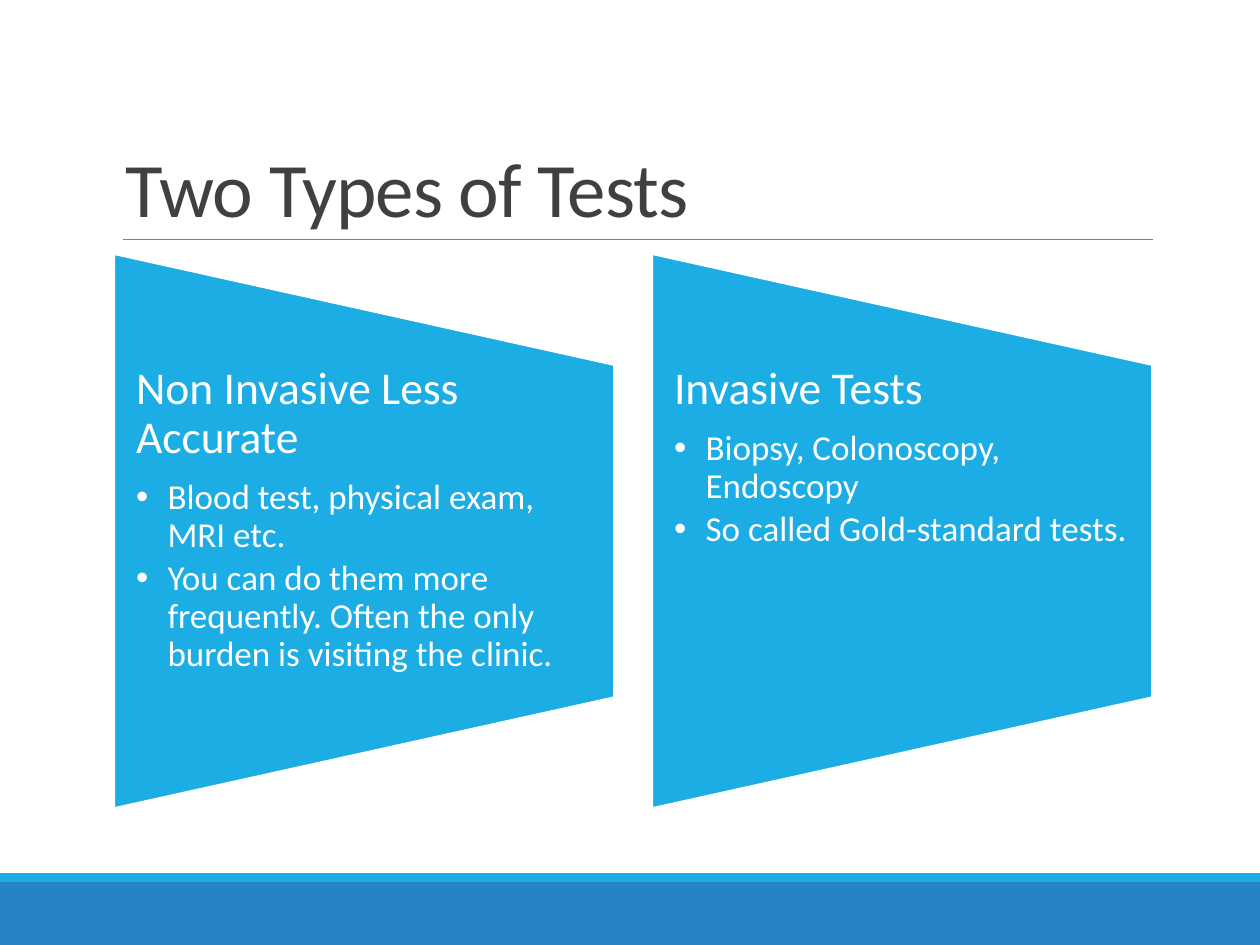
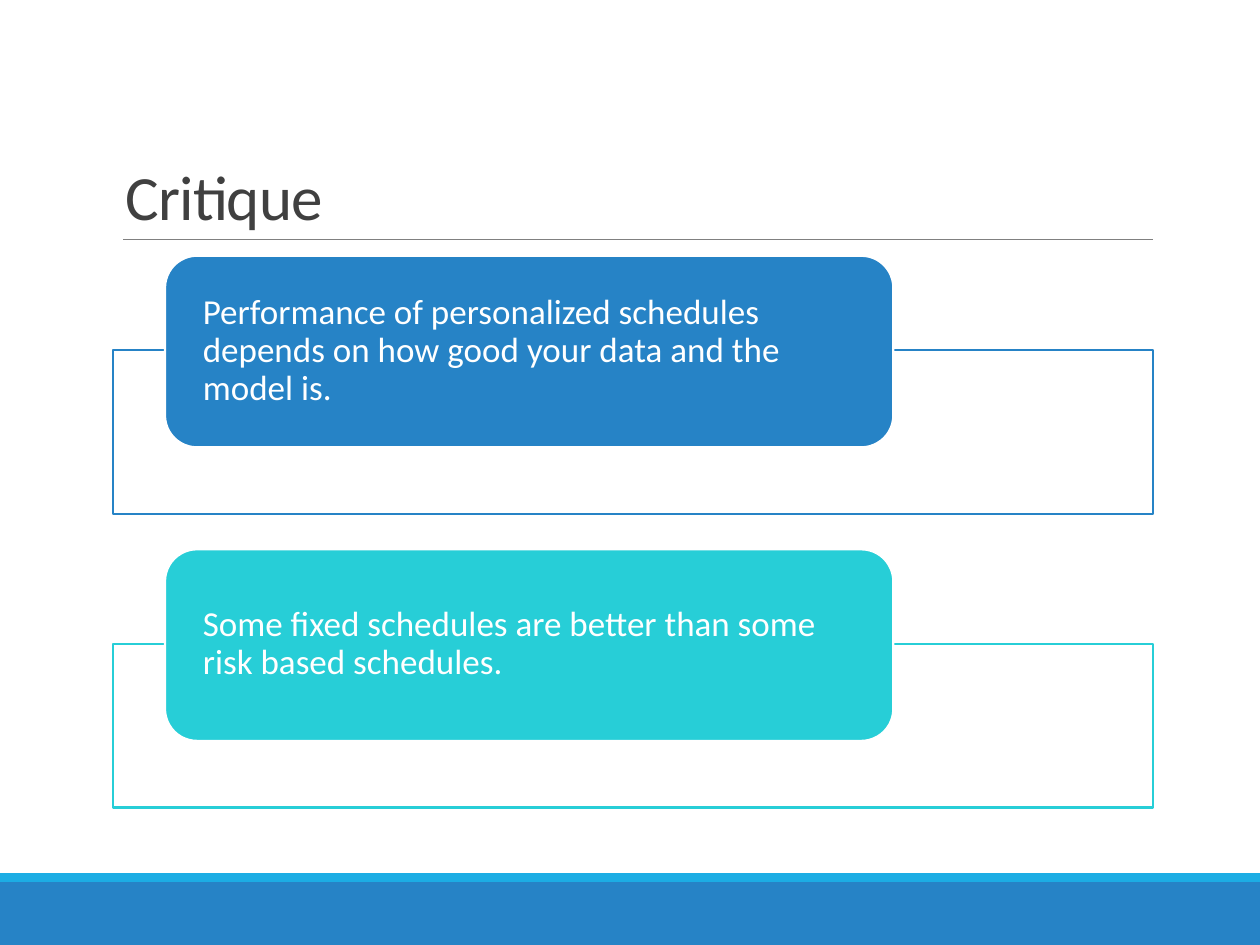
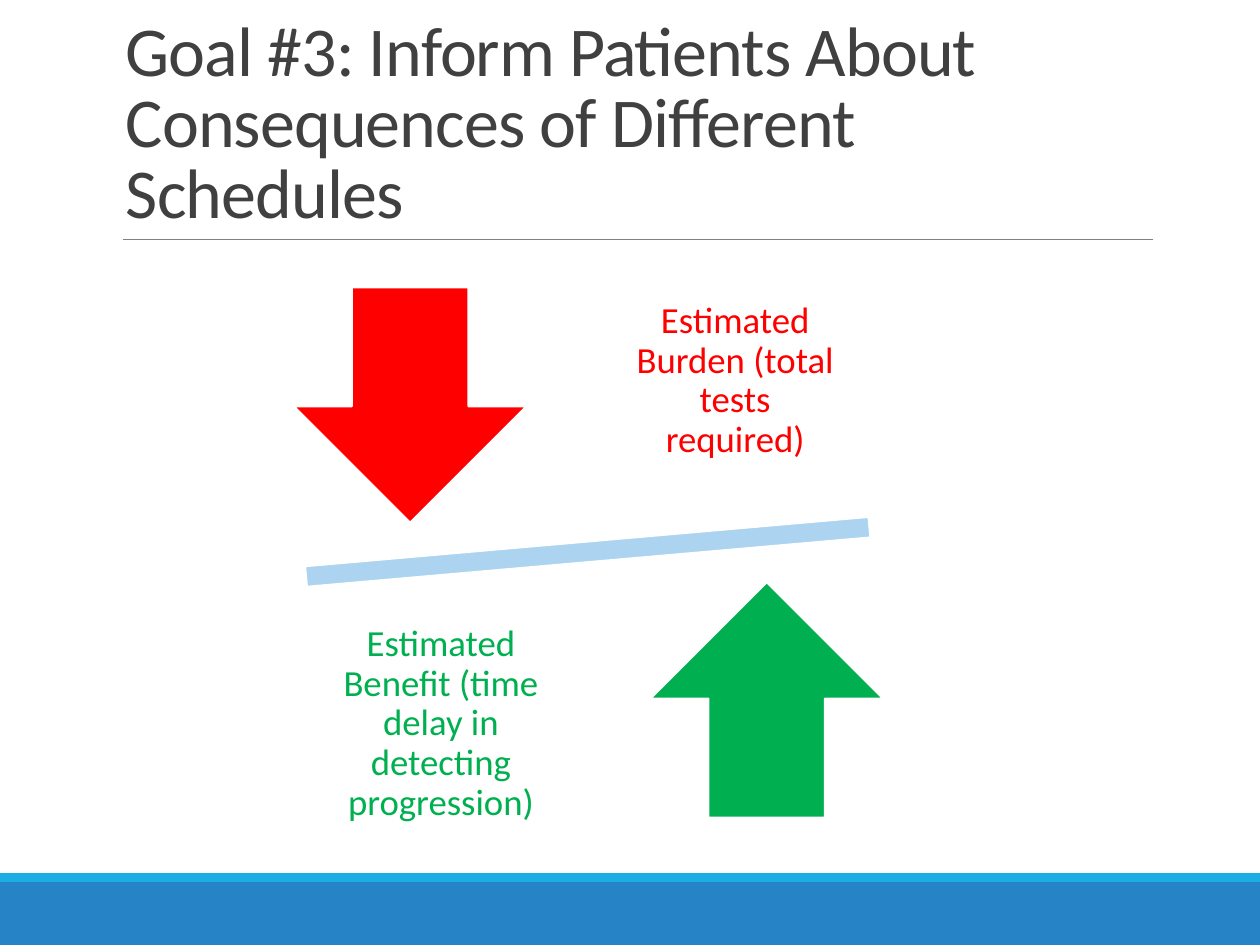
from dataclasses import dataclass

from lxml import etree
from pptx import Presentation
from pptx.dml.color import RGBColor
from pptx.enum.shapes import MSO_CONNECTOR, MSO_SHAPE
from pptx.enum.text import MSO_ANCHOR, PP_ALIGN
from pptx.oxml.ns import qn
from pptx.util import Inches, Pt

RECTANGLE = MSO_SHAPE.RECTANGLE
ROUNDED = MSO_SHAPE.ROUNDED_RECTANGLE
TRAPEZOID = MSO_SHAPE.FLOWCHART_MANUAL_OPERATION
MINUS = MSO_SHAPE.MATH_MINUS
DOWN_ARROW = MSO_SHAPE.DOWN_ARROW
UP_ARROW = MSO_SHAPE.UP_ARROW
STRAIGHT = MSO_CONNECTOR.STRAIGHT
TOP, MIDDLE, BOTTOM = MSO_ANCHOR.TOP, MSO_ANCHOR.MIDDLE, MSO_ANCHOR.BOTTOM
LEFT, CENTER = PP_ALIGN.LEFT, PP_ALIGN.CENTER


@dataclass(frozen=True)
class Theme:
    font: str = "Calibri"
    title: str = "404040"
    rule: str = "808080"
    blue: str = "2683C6"
    sky: str = "1CADE4"
    turquoise: str = "27CED7"
    pale_blue: str = "ACD3EF"
    red: str = "FF0000"
    green: str = "00B050"
    white: str = "FFFFFF"
    heading_size: int = 26
    body_size: int = 20
    label_size: int = 21
    outline: float = 1.25
    hairline: float = 0.5


THEME = Theme()


def rgb(value):
    return RGBColor.from_string(value)


def add_block(slide, preset, box, fill, outline=None, rotation=0):
    block = slide.shapes.add_shape(preset, *map(Inches, box))
    block.shadow.inherit = False
    block.rotation = rotation
    block.fill.solid()
    block.fill.fore_color.rgb = rgb(fill)
    if outline:
        block.line.color.rgb = rgb(outline)
        block.line.width = Pt(THEME.outline)
    else:
        block.line.fill.background()
    return block


def set_opacity(block, percent):
    color = block.fill._xPr.find(qn("a:solidFill"))[0]
    etree.SubElement(color, qn("a:alpha")).set("val", str(percent * 1000))


def add_text_area(slide, box, anchor, side_inset, top_inset, bottom_inset):
    frame = slide.shapes.add_textbox(*map(Inches, box)).text_frame
    frame.word_wrap = True
    frame.vertical_anchor = anchor
    frame.margin_left = frame.margin_right = Inches(side_inset)
    frame.margin_top = Inches(top_inset)
    frame.margin_bottom = Inches(bottom_inset)
    return frame


def write(paragraph, text, size, color, spacing=0.9, after=0.35, align=LEFT):
    paragraph.alignment = align
    paragraph.line_spacing = spacing
    paragraph.space_after = Pt(size * after)
    run = paragraph.add_run()
    run.text = text
    run.font.name = THEME.font
    run.font.size = Pt(size)
    run.font.color.rgb = rgb(color)
    return run


def write_bullet(paragraph, text):
    paragraph.level = 1
    write(paragraph, text, THEME.body_size, THEME.white, after=0.15)
    properties = paragraph._p.get_or_add_pPr()
    properties.set("marL", str(Inches(0.25)))
    properties.set("indent", str(Inches(-0.25)))
    etree.SubElement(properties, qn("a:buFont")).set("typeface", "Arial")
    etree.SubElement(properties, qn("a:buChar")).set("char", "•")


def add_titled_slide(deck, title, size):
    slide = deck.slides.add_slide(deck.slide_layouts[6])
    add_block(slide, RECTANGLE, (0, 7, 10, 0.5), THEME.blue)
    add_block(slide, RECTANGLE, (0, 6.93, 10, 0.07), THEME.sky)
    rule = slide.shapes.add_connector(
        STRAIGHT, Inches(0.98), Inches(1.9), Inches(9.15), Inches(1.9))
    rule.line.color.rgb = rgb(THEME.rule)
    rule.line.width = Pt(THEME.hairline)
    etree.SubElement(rule._element.spPr, qn("a:effectLst"))
    frame = add_text_area(slide, (0.9, 0.31, 8.25, 1.59), BOTTOM, 0.1, 0.05, 0.05)
    run = write(frame.paragraphs[0], title, size, THEME.title, spacing=0.85, after=0)
    run.font._element.set("spc", "-50")
    return slide


def add_test_column(slide, left, heading, points):
    add_block(slide, TRAPEZOID, (left - 0.21, 2.23, 4.4, 3.97),
              THEME.sky, THEME.white, rotation=270)
    frame = add_text_area(slide, (left, 2.9, 3.97, 2.64), TOP, 0.18, 0, 0)
    write(frame.paragraphs[0], heading, THEME.heading_size, THEME.white)
    for point in points:
        write_bullet(frame.add_paragraph(), point)


def add_critique(slide, top, color, text):
    backdrop = add_block(slide, RECTANGLE, (0.9, top + 0.75, 8.25, 1.3),
                         THEME.white, color)
    set_opacity(backdrop, 90)
    add_block(slide, ROUNDED, (1.31, top, 5.78, 1.52), color, THEME.white)
    frame = add_text_area(slide, (1.39, top + 0.07, 5.63, 1.37), MIDDLE, 0.22, 0, 0)
    write(frame.paragraphs[0], text, THEME.body_size, THEME.white)


def add_weighed_side(slide, arrow, arrow_at, label_box, color, label):
    add_block(slide, arrow, (*arrow_at, 1.85, 1.87), color, THEME.white)
    frame = add_text_area(slide, label_box, MIDDLE, 0.16, 0.16, 0.16)
    write(frame.paragraphs[0], label, THEME.label_size, color, align=CENTER)


def build_test_types(deck):
    slide = add_titled_slide(deck, "Two Types of Tests", 44)
    columns = [
        ("Non Invasive Less Accurate", [
            "Blood test, physical exam, MRI etc.",
            "You can do them more frequently. Often the only burden is "
            "visiting the clinic."]),
        ("Invasive Tests", [
            "Biopsy, Colonoscopy, Endoscopy",
            "So called Gold-standard tests."]),
    ]
    for index, (heading, points) in enumerate(columns):
        add_test_column(slide, 0.9 + index * 4.27, heading, points)


def build_critique(deck):
    slide = add_titled_slide(deck, "Critique", 36)
    critiques = [
        (THEME.blue, "Performance of personalized schedules depends on how "
                     "good your data and the model is."),
        (THEME.turquoise, "Some fixed schedules are better than some risk "
                          "based schedules."),
    ]
    for index, (color, text) in enumerate(critiques):
        add_critique(slide, 2.03 + index * 2.33, color, text)


def build_consequences(deck):
    slide = add_titled_slide(
        deck, "Goal #3: Inform Patients About Consequences of Different Schedules", 40)
    add_block(slide, MINUS, (1.61, 4.03, 6.11, 0.7),
              THEME.pale_blue, THEME.white, rotation=355)
    add_weighed_side(slide, DOWN_ARROW, (2.33, 2.28), (4.85, 2.04, 1.97, 1.97),
                     THEME.red, "Estimated Burden (total tests required)")
    add_weighed_side(slide, UP_ARROW, (5.16, 4.62), (2.35, 4.76, 2.3, 1.97),
                     THEME.green,
                     "Estimated Benefit (time delay in detecting progression)")


def main():
    deck = Presentation()
    deck.slide_width = Inches(10)
    deck.slide_height = Inches(7.5)
    build_test_types(deck)
    build_critique(deck)
    build_consequences(deck)
    deck.save("out.pptx")


if __name__ == "__main__":
    main()
